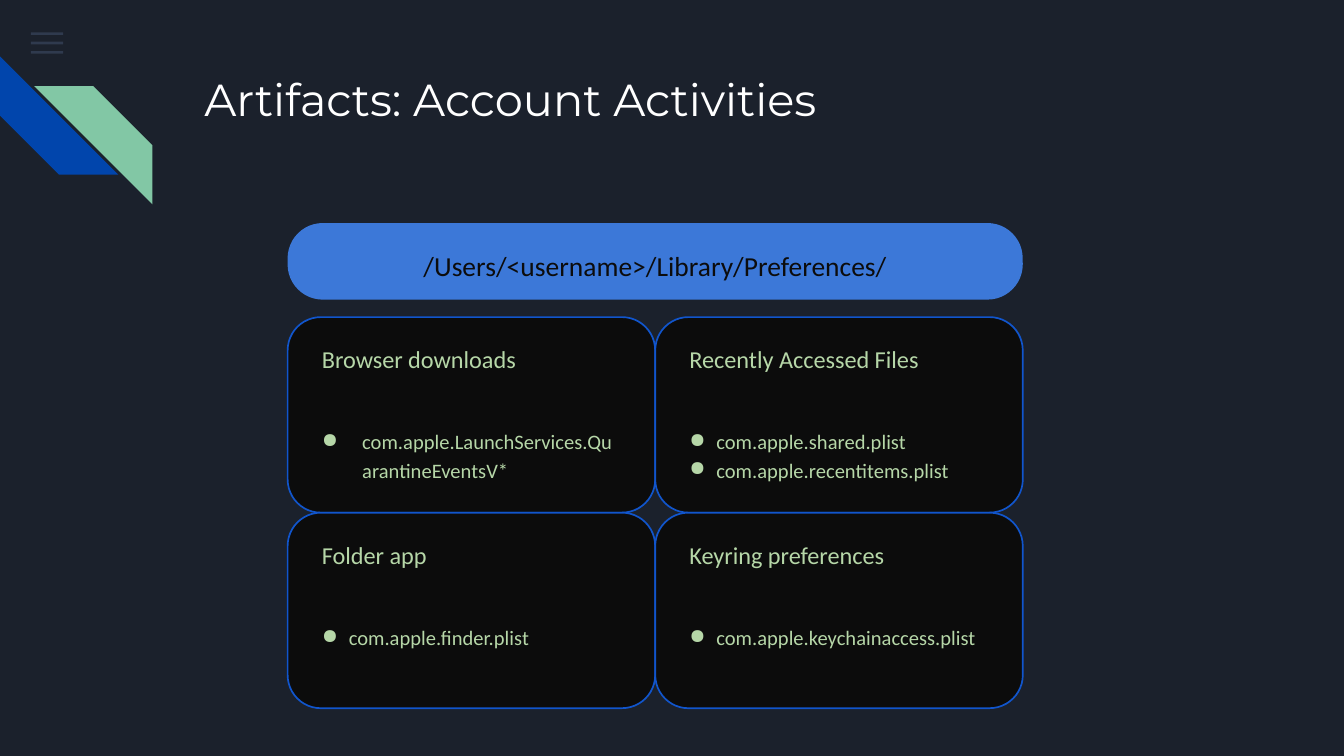
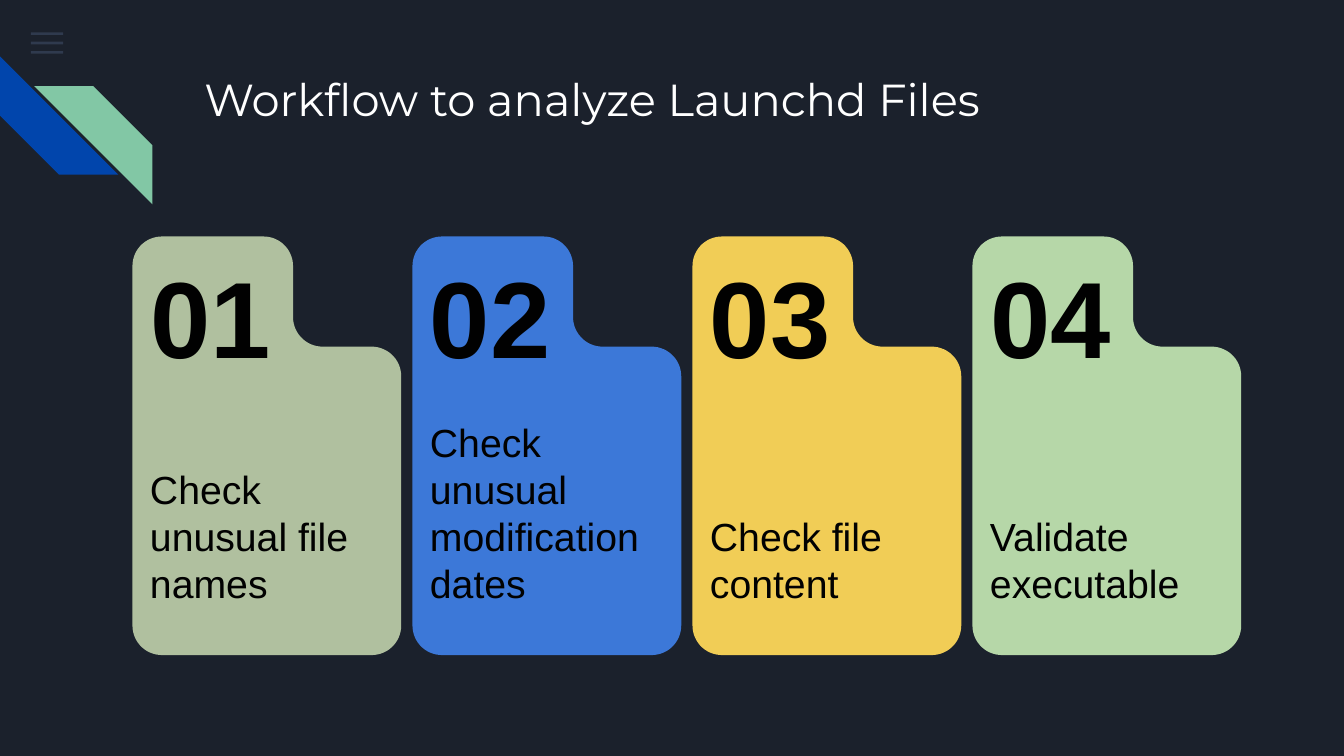
from math import cos, radians, sin

from lxml import etree
from pptx import Presentation
from pptx import util as u
from pptx.dml.color import RGBColor
from pptx.enum import shapes, text
from pptx.oxml.ns import qn

SLIDE_W = u.Inches(10)
SLIDE_H = SLIDE_W * 9 // 16

NAVY = RGBColor(0x1B, 0x21, 0x2C)
SLATE = RGBColor(0x55, 0x68, 0x8B)
DEEP_BLUE = RGBColor(0x01, 0x45, 0xAC)
MINT = RGBColor(0x82, 0xC7, 0xA5)
WHITE = RGBColor(0xFF, 0xFF, 0xFF)
BLUE = RGBColor(0x3C, 0x78, 0xD8)
EDGE_BLUE = RGBColor(0x11, 0x55, 0xCC)
INK = RGBColor(0x0C, 0x0C, 0x0C)
BLACK = RGBColor(0x01, 0x01, 0x01)
LEAF = RGBColor(0xB6, 0xD7, 0xA8)
SAGE = RGBColor(0xB0, 0xC0, 0x9F)
YELLOW = RGBColor(0xF1, 0xCD, 0x56)

CARD_LEFT, CARD_TOP = 21.4, 23.6
CARD_W, CARD_H = 27.35, 14.55
CARDS = [
    ("Browser downloads", 3, ["com.apple.LaunchServices.QuarantineEventsV*"]),
    ("Recently Accessed Files", 2,
     ["com.apple.shared.plist", "com.apple.recentitems.plist"]),
    ("Folder app", 2, ["com.apple.finder.plist"]),
    ("Keyring preferences", 2, ["com.apple.keychainaccess.plist"]),
]

FOLDER_LEFT, FOLDER_TOP, FOLDER_SPAN = 9.86, 17.6, 82.5
FOLDER_W, FOLDER_H = 20, 31.15
TAB_W, TAB_H, RADIUS = 11.95, 8.2, 2.2
FOLDERS = [
    ("Check unusual file names", SAGE),
    ("Check unusual modification dates", BLUE),
    ("Check file content", YELLOW),
    ("Validate executable", LEAF),
]


def share(percent):
    return u.Emu(round(SLIDE_W * percent / 100))


def area(*percents):
    return [share(percent) for percent in percents]


def paint(shape, fill, edge=None):
    shape.shadow.inherit = False
    shape.fill.solid()
    shape.fill.fore_color.rgb = fill
    if edge is None:
        shape.line.fill.background()
    else:
        shape.line.color.rgb = edge
        shape.line.width = u.Pt(0.9)


def add_block(page, kind, place, fill, edge=None, corner=None):
    shape = page.shapes.add_shape(kind, *area(*place))
    paint(shape, fill, edge)
    if corner is not None:
        shape.adjustments[0] = corner
    return shape


def set_margins(frame, side, top):
    frame.margin_left = frame.margin_right = share(side)
    frame.margin_top = frame.margin_bottom = share(top)


def style(para, font_name, size, color, bold=False):
    para.font.name = font_name
    para.font.size = u.Pt(size)
    para.font.bold = bold
    para.font.color.rgb = color


def add_frame(page, place, anchor=text.MSO_ANCHOR.TOP, top=0):
    frame = page.shapes.add_textbox(*area(*place)).text_frame
    frame.word_wrap = True
    frame.vertical_anchor = anchor
    set_margins(frame, 0, top)
    return frame


def add_bullet(para, margin):
    props = para._p.get_or_add_pPr()
    props.set("marL", str(share(margin)))
    props.set("indent", str(-share(margin)))
    color = etree.SubElement(props, qn("a:buClr"))
    etree.SubElement(color, qn("a:srgbClr"), val=str(LEAF))
    etree.SubElement(props, qn("a:buChar"), char="●")


def decorate(page, layout):
    parts = []
    for row in range(3):
        bar = add_block(page, shapes.MSO_SHAPE.RECTANGLE,
                        (2.3, 2.4 + 0.7 * row, 2.4, 0.2), SLATE)
        color = bar.element.spPr.find(".//" + qn("a:srgbClr"))
        etree.SubElement(color, qn("a:alpha"), val="36000")
        parts.append(bar)
    stripe = shapes.MSO_SHAPE.DIAGONAL_STRIPE
    lower = add_block(page, stripe, (0, 4.2, 8.8, 8.8), DEEP_BLUE, corner=0.5)
    lower.rotation = 270
    upper = add_block(page, stripe, (2.54, 6.4, 8.8, 8.8), MINT, corner=0.5)
    upper.element.spPr.find(qn("a:xfrm")).set("flipH", "1")
    for part in parts + [lower, upper]:
        layout.shapes.element.append(part.element)


def add_page(deck, layout, heading):
    page = deck.slides.add_slide(layout)
    title = page.shapes.title
    title.left, title.top, title.width, title.height = area(14.2, 4.3, 77, 10)
    frame = title.text_frame
    frame.text = heading
    frame.word_wrap = True
    frame.auto_size = text.MSO_AUTO_SIZE.NONE
    frame.vertical_anchor = text.MSO_ANCHOR.TOP
    set_margins(frame, 1, 1)
    para = frame.paragraphs[0]
    para.alignment = text.PP_ALIGN.LEFT
    style(para, "Montserrat", 24, WHITE)
    return page


def add_location(page, location):
    add_block(page, shapes.MSO_SHAPE.ROUNDED_RECTANGLE,
              (CARD_LEFT, 16.6, 2 * CARD_W, 5.7), BLUE, corner=0.46)
    frame = add_frame(page, (24.2, 17.7, 49.1, 3.7), text.MSO_ANCHOR.MIDDLE)
    para = frame.paragraphs[0]
    para.text = location
    para.alignment = text.PP_ALIGN.CENTER
    para.line_spacing = 1.15
    style(para, "Calibri", 14.7, INK)


def add_card(page, column, row, heading, margin, files):
    left = CARD_LEFT + column * CARD_W
    top = CARD_TOP + row * CARD_H
    add_block(page, shapes.MSO_SHAPE.ROUNDED_RECTANGLE,
              (left, top, CARD_W, CARD_H), INK, EDGE_BLUE, 0.17)
    frame = add_frame(page, (left + 2.55, top + 1.7, 22.2, 11.2))
    para = frame.paragraphs[0]
    para.text = heading
    para.line_spacing = 1.15
    style(para, "Calibri", 13, LEAF)
    for index, file_name in enumerate(files):
        para = frame.add_paragraph()
        para.text = file_name
        add_bullet(para, margin)
        para.line_spacing = 1.15
        para.space_before = u.Pt(0 if index else 28)
        style(para, "Calibri", 11, LEAF)


def folder_outline(left, top):
    near, far, low = RADIUS, FOLDER_W - RADIUS, FOLDER_H - RADIUS
    corners = [
        (near, near, 180, 270),
        (TAB_W - RADIUS, near, 270, 360),
        (TAB_W + RADIUS, TAB_H - RADIUS, 180, 90),
        (far, TAB_H + RADIUS, 270, 360),
        (far, low, 0, 90),
        (near, low, 90, 180),
    ]
    steps = 15
    points = []
    for x, y, start, end in corners:
        for step in range(steps + 1):
            angle = radians(start + (end - start) * step / steps)
            points.append((share(left + x + RADIUS * cos(angle)),
                           share(top + y + RADIUS * sin(angle))))
    return points


def add_folder(page, index, label, fill):
    gap = (FOLDER_SPAN - len(FOLDERS) * FOLDER_W) / (len(FOLDERS) - 1)
    left = FOLDER_LEFT + index * (FOLDER_W + gap)
    points = folder_outline(left, FOLDER_TOP)
    builder = page.shapes.build_freeform(*points[0])
    builder.add_line_segments(points[1:], close=True)
    paint(builder.convert_to_shape(), fill)

    frame = add_frame(page, (left + 1.3, 28.4, 17.3, 16.9),
                      text.MSO_ANCHOR.BOTTOM, 0.2)
    frame.text = label
    style(frame.paragraphs[0], "Arial", 21, BLACK)

    frame = add_frame(page, (left + 1.3, 18.6, 9.5, 9.8))
    frame.text = f"{index + 1:02}"
    style(frame.paragraphs[0], "Arial", 58, BLACK, bold=True)


def main():
    deck = Presentation()
    deck.slide_width, deck.slide_height = SLIDE_W, SLIDE_H
    background = deck.slide_master.background.fill
    background.solid()
    background.fore_color.rgb = NAVY
    layout = deck.slide_layouts.get_by_name("Title Only")

    page = add_page(deck, layout, "Artifacts: Account Activities")
    decorate(page, layout)
    add_location(page, "/Users/<username>/Library/Preferences/")
    for index, card in enumerate(CARDS):
        row, column = divmod(index, 2)
        add_card(page, column, row, *card)

    page = add_page(deck, layout, "Workflow to analyze Launchd Files")
    for index, folder in enumerate(FOLDERS):
        add_folder(page, index, *folder)

    deck.save("out.pptx")


if __name__ == "__main__":
    main()
